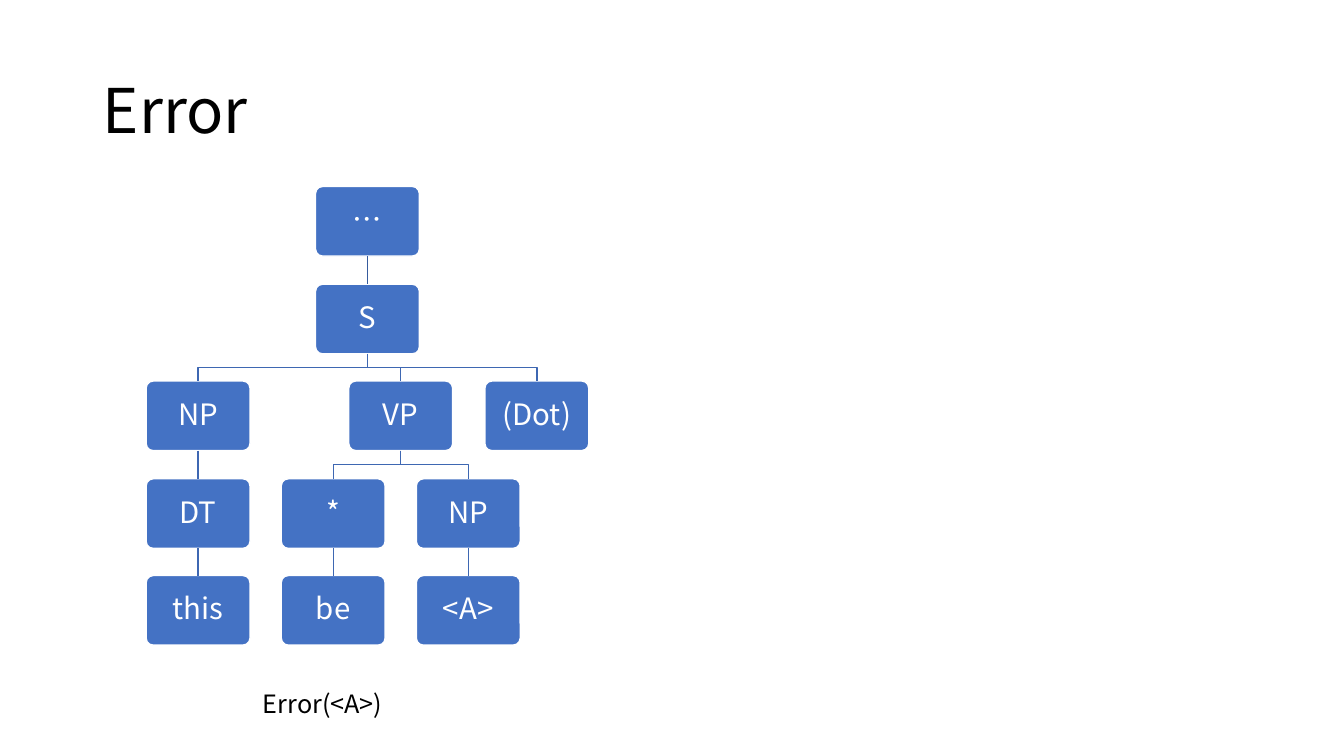
from lxml import etree
from pptx import Presentation
from pptx.dml.color import RGBColor
from pptx.enum.shapes import MSO_CONNECTOR, MSO_SHAPE
from pptx.enum.text import MSO_ANCHOR, MSO_AUTO_SIZE, PP_ALIGN
from pptx.oxml.ns import qn
from pptx.util import Pt

STRAIGHT = MSO_CONNECTOR.STRAIGHT
ROUNDED = MSO_SHAPE.ROUNDED_RECTANGLE
MIDDLE = MSO_ANCHOR.MIDDLE
LEFT, CENTER = PP_ALIGN.LEFT, PP_ALIGN.CENTER
PX = 9144
FONT = "Noto Sans CJK JP"
COLORS = {"node": "4472C4", "white": "FFFFFF", "black": "000000",
          "root_link": "365B9D", "link": "3E67B2"}
BOX_W, BOX_H = 103, 69
TREE_LEFT, TREE_TOP = 145, 185
COL_STEP, ROW_STEP = 33.6, 96.6


def rgb(name):
    return RGBColor.from_string(COLORS[name])


def write(p, text, size, color):
    r = p.add_run()
    r.text = text
    r.font.size = Pt(size)
    r.font.name = FONT
    r.font.color.rgb = rgb(color)
    etree.SubElement(r.font._element, qn("a:ea"), typeface=FONT)


prs = Presentation()
prs.slide_width, prs.slide_height = 1333 * PX, 750 * PX
s = prs.slides.add_slide(prs.slide_layouts[5])

title = s.shapes.title
title.left, title.top, title.width, title.height = 92 * PX, 40 * PX, 1150 * PX, 145 * PX
tf = title.text_frame
tf.vertical_anchor = MIDDLE
tf.auto_size = MSO_AUTO_SIZE.NONE
p = tf.paragraphs[0]
p.alignment = LEFT
p.line_spacing = 0.9
write(p, "Error", 44, "black")

# Label, column in quarter steps, row, index of the parent
nodes = [
    ("…", 5, 0, None),
    ("S", 5, 1, 0),
    ("NP", 0, 2, 1),
    ("DT", 0, 3, 2),
    ("this", 0, 4, 3),
    ("VP", 6, 2, 1),
    ("*", 4, 3, 5),
    ("be", 4, 4, 6),
    ("NP", 8, 3, 5),
    ("<A>", 8, 4, 8),
    ("(Dot)", 10, 2, 1),
]

boxes = []
for label, col, row, parent in nodes:
    left = TREE_LEFT + int(col * COL_STEP)
    top = TREE_TOP + round(row * ROW_STEP)
    box = s.shapes.add_shape(ROUNDED, left * PX, top * PX, BOX_W * PX, BOX_H * PX)
    box.adjustments[0] = 0.1
    box.shadow.inherit = False
    box.fill.solid()
    box.fill.fore_color.rgb = rgb("node")
    box.line.color.rgb = rgb("white")
    box.line.width = Pt(1)
    tf = box.text_frame
    tf.word_wrap = True
    tf.vertical_anchor = MIDDLE
    tf.margin_left = tf.margin_right = tf.margin_top = tf.margin_bottom = 11 * PX
    p = tf.paragraphs[0]
    p.alignment = CENTER
    p.line_spacing = 0.9
    p.space_after = Pt(7)
    write(p, label, 21, "white")
    boxes.append(box)

for (label, col, row, parent), box in zip(nodes, boxes):
    if parent is None:
        continue
    above = boxes[parent]
    x1, y1 = above.left + above.width // 2, above.top + above.height
    x2, y2 = box.left + box.width // 2, box.top
    if x1 == x2:
        link = s.shapes.add_connector(STRAIGHT, x1, y1, x2, y2)
        link.begin_connect(above, 2)
        link.end_connect(box, 0)
        etree.SubElement(link._element.spPr, qn("a:effectLst"))
    else:
        bend = (y1 + y2) // 2
        fb = s.shapes.build_freeform(x1, y1)
        fb.add_line_segments([(x1, bend), (x2, bend), (x2, y2)], close=False)
        link = fb.convert_to_shape()
        link.shadow.inherit = False
        link.fill.background()
    link.line.color.rgb = rgb("root_link" if parent == 0 else "link")
    link.line.width = Pt(1)

caption = s.shapes.add_textbox(251 * PX, 678 * PX, 150 * PX, 40 * PX)
tf = caption.text_frame
tf.word_wrap = False
tf.auto_size = MSO_AUTO_SIZE.SHAPE_TO_FIT_TEXT
write(tf.paragraphs[0], "Error(<A>)", 18, "black")

prs.save("out.pptx")
